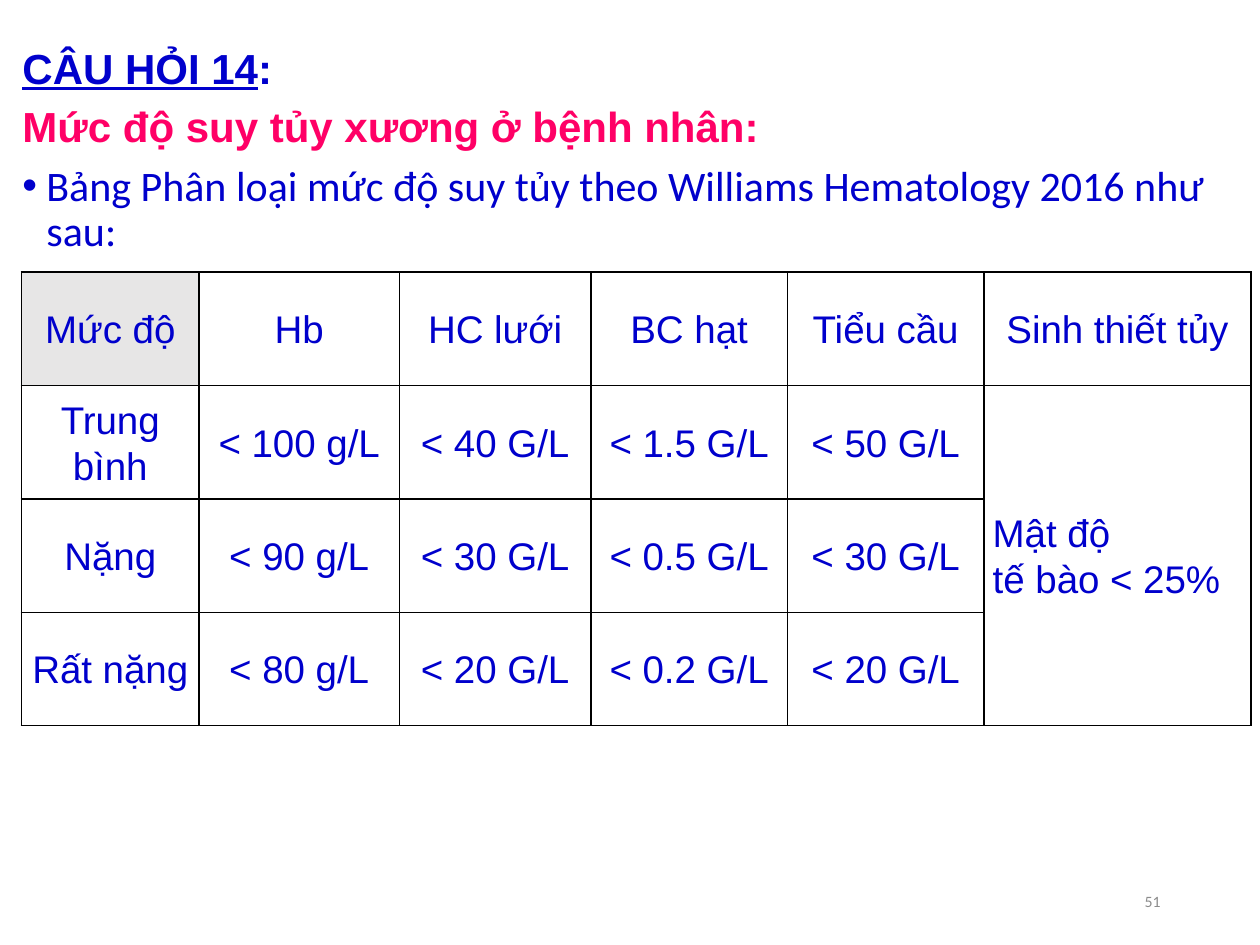
from dataclasses import dataclass

from lxml.etree import SubElement
from pptx import Presentation
from pptx.dml.color import RGBColor
from pptx.enum.text import MSO_ANCHOR, PP_ALIGN
from pptx.oxml.ns import qn
from pptx.util import Inches, Pt

WIDTH, HEIGHT = 10, 7.5
COLORS = {
    "blue": "0000CC",
    "pink": "FF0066",
    "gray": "8C8C8C",
    "shade": "E7E6E6",
    "border": "000000",
}
COLUMN_WIDTHS = [1.41, 1.59, 1.52, 1.56, 1.56, 2.12]
ROW_HEIGHT = 0.9
GRADES = [
    ["Mức độ", "Hb", "HC lưới", "BC hạt", "Tiểu cầu", "Sinh thiết tủy"],
    ["Trung bình", "< 100 g/L", "< 40 G/L", "< 1.5 G/L", "< 50 G/L"],
    ["Nặng", "< 90 g/L", "< 30 G/L", "< 0.5 G/L", "< 30 G/L"],
    ["Rất nặng", "< 80 g/L", "< 20 G/L", "< 0.2 G/L", "< 20 G/L"],
]
BIOPSY = "Mật độ \ntế bào < 25%"


@dataclass
class TextStyle:
    size: float
    color: str = "blue"
    name: str = "Arial"
    bold: bool = False
    align: PP_ALIGN = PP_ALIGN.LEFT
    spacing: float = 1.0


@dataclass
class Line:
    runs: list[str]
    style: TextStyle
    bullet: bool = False


def style_paragraph(paragraph, style: TextStyle) -> None:
    paragraph.alignment = style.align
    paragraph.line_spacing = style.spacing
    font = paragraph.font
    font.size, font.name, font.bold = Pt(style.size), style.name, style.bold
    font.color.rgb = RGBColor.from_string(COLORS[style.color])


def add_bullet(paragraph) -> None:
    properties = paragraph._p.get_or_add_pPr()
    properties.set("marL", str(Inches(0.19)))
    properties.set("indent", str(-Inches(0.19)))
    SubElement(properties, qn("a:buFont"), typeface="Arial")
    SubElement(properties, qn("a:buChar"), char="•")


def add_text(slide, left: float, top: float, width: float, height: float,
             lines: list[Line], anchor: MSO_ANCHOR = MSO_ANCHOR.TOP):
    box = slide.shapes.add_textbox(*map(Inches, (left, top, width, height)))
    frame = box.text_frame
    frame.word_wrap = True
    frame.vertical_anchor = anchor
    for index, line in enumerate(lines):
        paragraph = frame.add_paragraph() if index else frame.paragraphs[0]
        for text in line.runs:
            paragraph.add_run().text = text
        if index:
            paragraph.space_before = Pt(7.5)
        if line.bullet:
            add_bullet(paragraph)
        style_paragraph(paragraph, line.style)
    return box


def add_borders(cell) -> None:
    properties = cell._tc.get_or_add_tcPr()
    for side in ("lnL", "lnR", "lnT", "lnB"):
        border = SubElement(properties, qn(f"a:{side}"), w=str(Pt(1)))
        fill = SubElement(border, qn("a:solidFill"))
        SubElement(fill, qn("a:srgbClr"), val=COLORS["border"])


def fill_cell(cell, text: str, style: TextStyle) -> None:
    cell.text = text
    cell.vertical_anchor = MSO_ANCHOR.MIDDLE
    cell.margin_left = cell.margin_right = Inches(0.07)
    cell.margin_top = cell.margin_bottom = 0
    for paragraph in cell.text_frame.paragraphs:
        style_paragraph(paragraph, style)


def add_grades(slide, left: float, top: float) -> None:
    rows, columns = len(GRADES), len(COLUMN_WIDTHS)
    table = slide.shapes.add_table(
        rows, columns, Inches(left), Inches(top),
        Inches(sum(COLUMN_WIDTHS)), Inches(rows * ROW_HEIGHT)).table
    table.first_row = table.horz_banding = False
    for column, width in zip(table.columns, COLUMN_WIDTHS):
        column.width = Inches(width)
    for row in table.rows:
        row.height = Inches(ROW_HEIGHT)
    for cell in table.iter_cells():
        add_borders(cell)
        cell.fill.background()

    centered = TextStyle(22, align=PP_ALIGN.CENTER, spacing=1.07)
    for row_index, texts in enumerate(GRADES):
        for column_index, text in enumerate(texts):
            fill_cell(table.cell(row_index, column_index), text, centered)

    # Shaded corner and the biopsy cell shared by all grades
    corner = table.cell(0, 0)
    corner.fill.solid()
    corner.fill.fore_color.rgb = RGBColor.from_string(COLORS["shade"])
    biopsy = table.cell(1, columns - 1)
    biopsy.merge(table.cell(rows - 1, columns - 1))
    fill_cell(biopsy, BIOPSY,
              TextStyle(22, align=PP_ALIGN.JUSTIFY, spacing=1.07))


def main() -> None:
    presentation = Presentation()
    presentation.slide_width = Inches(WIDTH)
    presentation.slide_height = Inches(HEIGHT)
    slide = presentation.slides.add_slide(presentation.slide_layouts[6])

    # Question and introduction
    question = add_text(slide, 0.08, 0.33, 9.75, 6.83, [
        Line(["CÂU HỎI 14", ": "],
             TextStyle(24, bold=True, align=PP_ALIGN.JUSTIFY, spacing=0.9)),
        Line(["Mức độ suy tủy xương ở bệnh nhân:"],
             TextStyle(24, "pink", bold=True, spacing=0.9)),
        Line(["Bảng Phân loại mức độ suy tủy theo Williams Hematology 2016 "
              "như sau:"],
             TextStyle(24, name="Calibri", spacing=0.9), bullet=True),
    ])
    question.text_frame.paragraphs[0].runs[0].font.underline = True

    # Slide number
    add_text(slide, 7.06, 6.95, 2.25, 0.4,
             [Line(["51"], TextStyle(9, "gray", "Calibri",
                                     align=PP_ALIGN.RIGHT))],
             MSO_ANCHOR.MIDDLE)

    # Grading table
    add_grades(slide, 0.17, 2.16)

    presentation.save("out.pptx")


if __name__ == "__main__":
    main()
